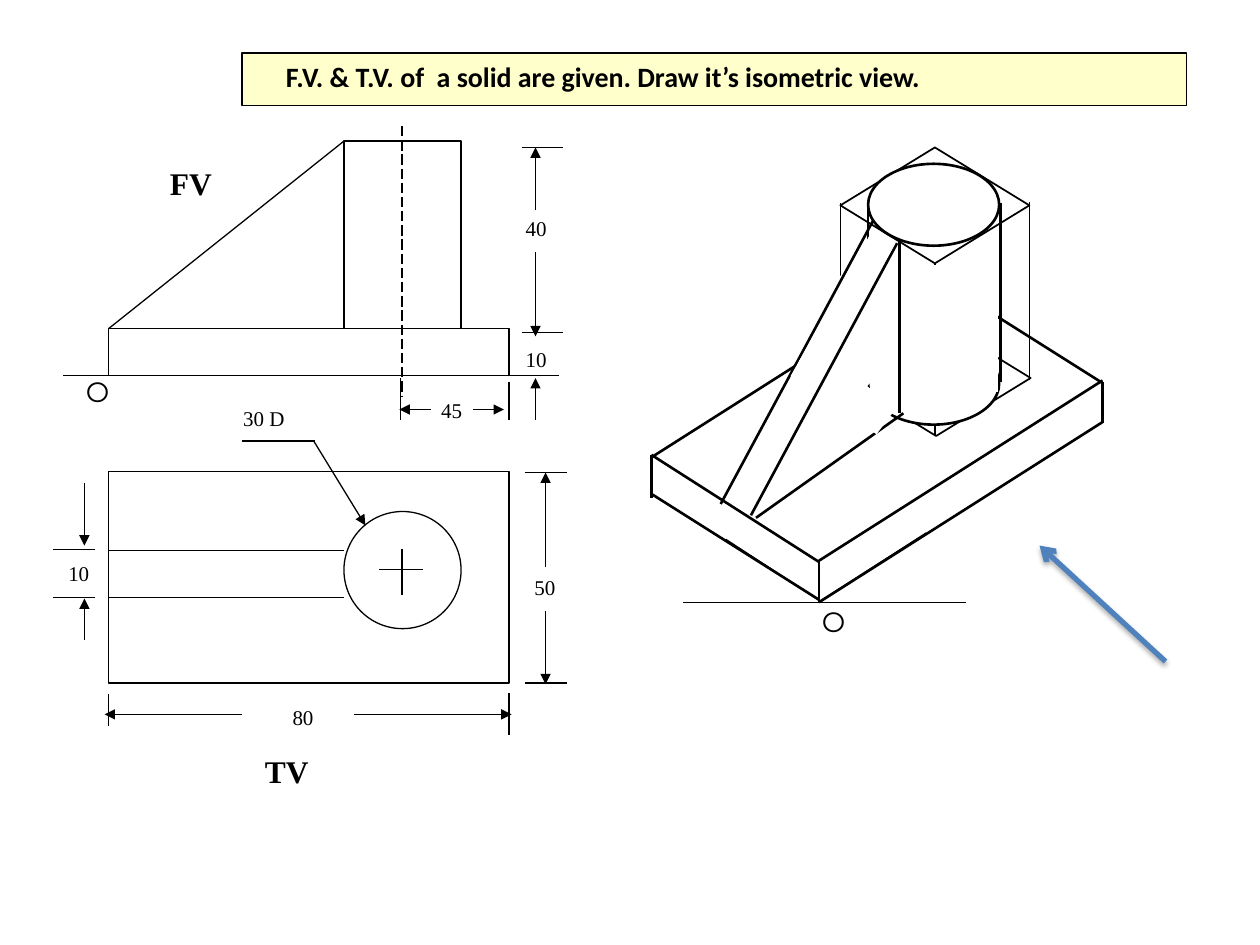
from lxml.etree import SubElement
from pptx import Presentation
from pptx.dml.color import RGBColor
from pptx.enum.dml import MSO_LINE
from pptx.enum.shapes import MSO_CONNECTOR, MSO_SHAPE
from pptx.enum.text import MSO_AUTO_SIZE, PP_ALIGN
from pptx.oxml.ns import qn
from pptx.util import Inches, Pt

BLACK = RGBColor(0x00, 0x00, 0x00)
WHITE = RGBColor(0xFF, 0xFF, 0xFF)
CREAM = RGBColor(0xFF, 0xFF, 0xCC)
BLUE = RGBColor(0x4F, 0x81, 0xBD)
THIN, MEDIUM, BOLD = 0.75, 1.5, 3
RECT, OVAL, DIAMOND = MSO_SHAPE.RECTANGLE, MSO_SHAPE.OVAL, MSO_SHAPE.DIAMOND

# All positions are in columns and rows of a 10 by 7.5 grid of one-inch squares.
COLUMNS, ROWS = 10, 7.5

# Isometric view, from back to front
FLOOR_EDGES = [(6.51, 4.77, 7.35, 4.23), (6.51, 4.77, 5.76, 4.28)]
BASE_EDGES = [
    (6.5, 4.78, 6.5, 4.45), (6.5, 4.78, 8.75, 3.35), (6.5, 4.45, 8.75, 3.02),
    (6.5, 4.76, 5.17, 3.92), (6.5, 4.46, 5.17, 3.61), (8.75, 3.04, 7.42, 2.2),
    (8.75, 3.36, 8.75, 3.03), (5.17, 3.63, 7.42, 2.2), (5.17, 3.61, 5.17, 3.95),
]
BOX_LEFT, BOX_WIDTH, BOX_DEPTH = 6.67, 1.5, 0.92
BOX_EDGES = [(6.67, 3.03, 6.67, 1.61), (7.42, 3.45, 7.42, 2.03),
             (8.17, 3.02, 8.17, 1.6)]
CYLINDER_LEFT, CYLINDER_WIDTH, CYLINDER_DEPTH = 6.89, 1.04, 0.65
CYLINDER_SIDES = [(6.89, THIN), (7.94, MEDIUM)]
RIB_BACK_EDGES = [(6, 4.11, 7.17, 3.28), (7.14, 1.91, 7.14, 3.28)]
RIB_SLOPES = [(7.12, 1.93, 5.96, 4.09), (6.93, 1.75, 5.72, 4)]

# Front view and top view
LEFT, RIGHT, AXIS = 0.86, 4.04, 3.19
PILLAR_LEFT, PILLAR_SIZE = 2.73, 0.93
PILLAR_TOP, BASE_TOP, GROUND = 1.12, 2.61, 2.98
PLAN_TOP, PLAN_HEIGHT, CIRCLE_TOP = 3.74, 1.68, 4.06
RIB_ROWS = [4.37, 4.74]
VIEW_LINES = [
    (PILLAR_LEFT, PILLAR_TOP, LEFT, BASE_TOP),
    *[(LEFT, row, PILLAR_LEFT, row) for row in RIB_ROWS],
    (AXIS, 4.36, AXIS, 4.72), (3.01, 4.52, 3.36, 4.52),
    (0.5, GROUND, 4.44, GROUND),
]
TICK = 0.33
FLAT_TICKS = [(4.14, 2.64), (4.14, 1.17), (4.17, 3.75), (4.17, 5.42),
              (0.42, 4.36), (0.42, 4.74)]
EXTENSION_LINES = [
    (LEFT, 5.51, LEFT, 5.76), (RIGHT, 5.5, RIGHT, 5.83),
    (3.18, 3.33, 3.18, 3), (RIGHT, 3.03, RIGHT, 3.33), (1.92, 3.5, 2.5, 3.5),
]
DIMENSION_ARROWS = [
    (2.49, 3.5, 2.9, 4.17),
    (4.25, 2, 4.25, 2.67), (4.25, 1.67, 4.25, 1.17), (4.25, 3.33, 4.25, 3),
    (0.67, 3.83, 0.67, 4.33), (0.67, 5.08, 0.67, 4.75),
    (4.33, 4.5, 4.33, 3.75), (4.33, 4.85, 4.33, 5.43),
    (2.81, 5.67, 4.06, 5.67), (1.92, 5.67, 0.83, 5.67),
    (3.75, 3.25, 4, 3.25), (3.42, 3.25, 3.17, 3.25),
]

# Text, left, top, width
DIMENSIONS = [("40", 4.07, 1.66, 0.37), ("10", 4.07, 2.7, 0.37),
              ("50", 4.14, 4.51, 0.37), ("80", 2.22, 5.54, 0.37),
              ("10", 0.44, 4.4, 0.37), ("30 D", 1.83, 3.17, 0.53),
              ("45", 3.4, 3.11, 0.37)]
VIEW_NAMES = [("FV", 1.25, 1.25, 0.53), ("TV", 2, 5.92, 0.55)]
ORIGINS = [("O", 0.58, 2.92, 0.39), ("O", 6.42, 4.75, 0.39)]
TITLE = "F.V. & T.V. of  a solid are given. Draw it’s isometric view."

deck = Presentation()
deck.slide_width, deck.slide_height = Inches(COLUMNS), Inches(ROWS)
page = deck.slides.add_slide(deck.slide_layouts[6])


def add_line(ends, weight=THIN, color=BLACK, head=None, dash=None):
    """Draw a line and return its effect list, empty so that no shadow shows."""
    line = page.shapes.add_connector(MSO_CONNECTOR.STRAIGHT,
                                     *[Inches(end) for end in ends])
    line.line.width = Pt(weight)
    line.line.color.rgb = color
    if dash:
        line.line.dash_style = dash
    if head:
        SubElement(line.line._get_or_add_ln(), qn("a:tailEnd"), type=head)
    return SubElement(line._element.spPr, qn("a:effectLst"))


def add_lines(lines, **style):
    for ends in lines:
        add_line(ends, **style)


def add_figure(kind, left, top, width, height,
               fill=WHITE, color=BLACK, weight=THIN, turn=0):
    figure = page.shapes.add_shape(kind, Inches(left), Inches(top),
                                   Inches(width), Inches(height))
    figure.shadow.inherit = False
    figure.fill.solid()
    figure.fill.fore_color.rgb = fill
    figure.line.color.rgb = color
    figure.line.width = Pt(weight)
    figure.rotation = turn


def add_text(text, left, top, width, size=12, font="Times New Roman",
             bold=False, align=PP_ALIGN.CENTER):
    height = 0.1 + size / 60
    box = page.shapes.add_textbox(Inches(left), Inches(top),
                                  Inches(width), Inches(height))
    frame = box.text_frame
    frame.word_wrap = False
    frame.auto_size = MSO_AUTO_SIZE.SHAPE_TO_FIT_TEXT
    para = frame.paragraphs[0]
    para.alignment = align
    span = para.add_run()
    span.text = text
    span.font.size = Pt(size)
    span.font.name = font
    span.font.bold = bold
    span.font.color.rgb = BLACK


def add_soft_shadow(effects):
    shadow = SubElement(effects, qn("a:outerShdw"), blurRad=str(Pt(3.1)),
                        dist=str(Pt(1.8)), dir="5400000", rotWithShape="0")
    color = SubElement(shadow, qn("a:srgbClr"), val=str(BLACK))
    SubElement(color, qn("a:alpha"), val="35000")


def draw_isometric_view():
    add_lines(FLOOR_EDGES)
    add_lines(BASE_EDGES, weight=MEDIUM)
    add_figure(DIAMOND, BOX_LEFT + 0.01, 2.54, BOX_WIDTH, BOX_DEPTH, weight=1)
    add_lines(BOX_EDGES)
    add_figure(DIAMOND, BOX_LEFT, 1.17, BOX_WIDTH, BOX_DEPTH, weight=1)
    for top in (1.3, 2.72):
        add_figure(OVAL, CYLINDER_LEFT, top, CYLINDER_WIDTH, CYLINDER_DEPTH,
                   weight=MEDIUM)
    for column, weight in CYLINDER_SIDES:
        add_line((column, 1.61, column, 3.03), weight=weight)
    # White faces hide the edges behind the cylinder and the rib.
    add_figure(RECT, 6.92, 2.11, 1, 1, color=WHITE)
    add_lines(RIB_BACK_EDGES, weight=MEDIUM)
    add_figure(RECT, 6.51, 3.04, 0.58, 0.25, color=WHITE, turn=37.2)
    add_figure(OVAL, 6.58, 2.11, 0.42, 1, color=WHITE)
    add_lines(RIB_SLOPES, weight=MEDIUM)
    add_figure(RECT, 6.59, 1.8, 0.2, 1.32, color=WHITE, turn=29.3)


def draw_given_views():
    add_figure(RECT, PILLAR_LEFT, PILLAR_TOP, PILLAR_SIZE, BASE_TOP - PILLAR_TOP)
    add_figure(RECT, LEFT, BASE_TOP, RIGHT - LEFT, GROUND - BASE_TOP)
    add_figure(RECT, LEFT, PLAN_TOP, RIGHT - LEFT, PLAN_HEIGHT)
    add_figure(OVAL, PILLAR_LEFT, CIRCLE_TOP, PILLAR_SIZE, PILLAR_SIZE)
    add_lines(VIEW_LINES)
    add_line((AXIS, 1, AXIS, 3.15), dash=MSO_LINE.LONG_DASH)
    add_lines([(left, row, left + TICK, row) for left, row in FLAT_TICKS])
    add_lines(EXTENSION_LINES)
    add_lines(DIMENSION_ARROWS, head="triangle")
    for label in DIMENSIONS:
        add_text(*label)
    for label in VIEW_NAMES:
        add_text(*label, size=18, bold=True)


draw_isometric_view()
draw_given_views()
add_line((5.42, 4.78, 7.67, 4.78))
for label in ORIGINS:
    add_text(*label, size=16, font="Montserrat")
add_figure(RECT, 1.92, 0.42, 7.5, 0.42, fill=CREAM)
add_text(TITLE, 2.17, 0.42, 5.25, size=16, font="Calibri", bold=True,
         align=PP_ALIGN.LEFT)
add_soft_shadow(add_line((9.25, 5.25, 8.25, 4.33), weight=BOLD, color=BLUE,
                         head="arrow"))
deck.save("out.pptx")
